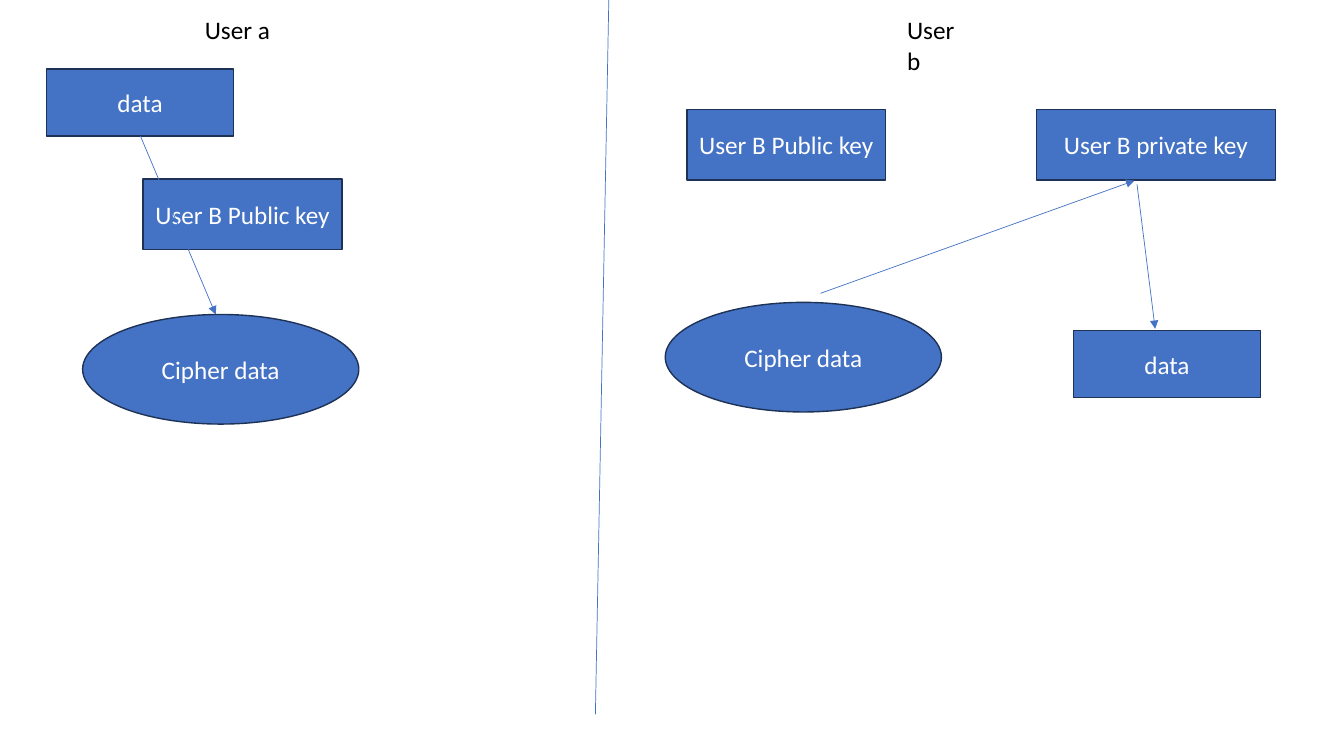
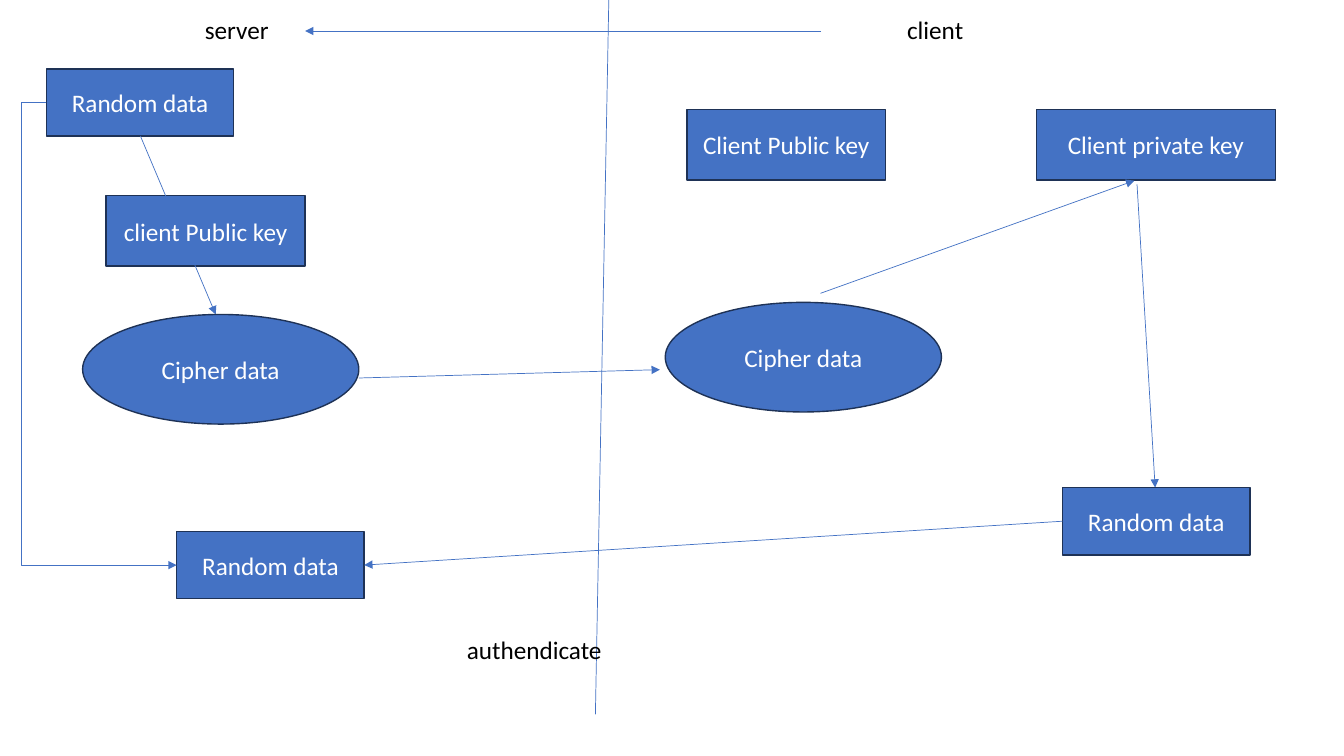
import dataclasses

import lxml.etree
import pptx
import pptx.dml.color
import pptx.enum.shapes
import pptx.enum.text
import pptx.oxml.ns
import pptx.util

BLUE = pptx.dml.color.RGBColor(0x44, 0x72, 0xC4)
NAVY = pptx.dml.color.RGBColor(0x1E, 0x32, 0x56)
BLACK = pptx.dml.color.RGBColor(0x00, 0x00, 0x00)
WHITE = pptx.dml.color.RGBColor(0xFF, 0xFF, 0xFF)
FONT = "Calibri"
SLIDE_W = pptx.util.Inches(13.33)
SLIDE_H = pptx.util.Inches(7.5)

RECT = pptx.enum.shapes.MSO_SHAPE.RECTANGLE
OVAL = pptx.enum.shapes.MSO_SHAPE.OVAL
STRAIGHT = pptx.enum.shapes.MSO_CONNECTOR.STRAIGHT
ELBOW = pptx.enum.shapes.MSO_CONNECTOR.ELBOW
CENTER = pptx.enum.text.PP_ALIGN.CENTER
LEFT_SITE, RIGHT_SITE = 1, 3

# Node sizes in columns and rows of a half-slide panel
DATA = (27.9, 8.9)
KEY = (29.6, 9.3)
PRIVATE_KEY = (35.6, 9.3)
CIPHER = (41.1, 14.5)


@dataclasses.dataclass
class Box:
    """An area of the slide, divided into 100 columns and 100 rows."""
    left: int
    top: int
    width: int
    height: int

    def size(self, cols, rows):
        return int(self.width * cols / 100), int(self.height * rows / 100)

    def point(self, col, row):
        dx, dy = self.size(col, row)
        return self.left + dx, self.top + dy


WHOLE = Box(0, 0, SLIDE_W, SLIDE_H)
LEFT = Box(0, 0, SLIDE_W // 2, SLIDE_H)
RIGHT = Box(SLIDE_W // 2, 0, SLIDE_W // 2, SLIDE_H)


def write(sp, text, color=BLACK, size=18, align=None, wrap=True):
    tf = sp.text_frame
    tf.word_wrap = wrap
    p = tf.paragraphs[0]
    p.alignment = align
    r = p.add_run()
    r.text = text
    r.font.name = FONT
    r.font.size = pptx.util.Pt(size)
    r.font.color.rgb = color


def add_label(slide, box, text, at, cols=12.8, wrap=False):
    sp = slide.shapes.add_textbox(*box.point(*at), *box.size(cols, 5.3))
    write(sp, text, wrap=wrap)


def add_node(slide, box, text, at, size, kind=RECT):
    sp = slide.shapes.add_shape(kind, *box.point(*at), *box.size(*size))
    sp.shadow.inherit = False
    sp.fill.solid()
    sp.fill.fore_color.rgb = BLUE
    sp.line.color.rgb = NAVY
    sp.line.width = pptx.util.Pt(1)
    sp.text_frame.vertical_anchor = pptx.enum.text.MSO_ANCHOR.MIDDLE
    write(sp, text, color=WHITE, align=CENTER)
    return sp


def add_line(slide, begin, end, kind=STRAIGHT, arrow=True):
    cxn = slide.shapes.add_connector(kind, *begin, *end)
    cxn.line.color.rgb = BLUE
    cxn.line.width = pptx.util.Pt(0.5)
    qn = pptx.oxml.ns.qn
    if arrow:
        ln = cxn.line._get_or_add_ln()
        lxml.etree.SubElement(ln, qn("a:tailEnd"), type="triangle")
    lxml.etree.SubElement(cxn._element.spPr, qn("a:effectLst"))
    return cxn


def join(slide, source, source_site, target, target_site, bend=None):
    """Arrow glued to two nodes; bend is the elbow's share of its width."""
    kind = STRAIGHT if bend is None else ELBOW
    cxn = add_line(slide, (0, 0), (1, 1), kind)
    cxn.begin_connect(source, source_site)
    cxn.end_connect(target, target_site)
    if bend is not None:
        qn = pptx.oxml.ns.qn
        guides = cxn._element.spPr.find(qn("a:prstGeom")).get_or_add_avLst()
        lxml.etree.SubElement(guides, qn("a:gd"), name="adj1",
                              fmla=f"val {round(bend * 100000)}")


def sender(slide, box, title, data, key, key_at):
    """Data goes through the public key and becomes cipher data."""
    add_label(slide, box, title, (29, 1.3))
    add_node(slide, box, key, key_at, KEY)
    node = add_node(slide, box, data, (6.9, 9.1), DATA)
    add_line(slide, box.point(20.9, 18), box.point(32.1, 41.6))
    add_node(slide, box, "Cipher data", (12.3, 41.6), CIPHER, OVAL)
    return node


def receiver(slide, box, title, data, owner, data_at, arrow_end):
    """Cipher data goes through the private key and becomes data."""
    add_label(slide, box, title, (33.5, 1.3))
    add_node(slide, box, f"{owner} Public key", (2.2, 14.5), KEY)
    add_node(slide, box, f"{owner} private key", (54.2, 14.5), PRIVATE_KEY)
    add_node(slide, box, "Cipher data", (-1, 40), CIPHER, OVAL)
    add_line(slide, box.point(22.1, 38.8), box.point(68.8, 23.9))
    add_line(slide, box.point(69.2, 24.4), box.point(71.9, arrow_end))
    return add_node(slide, box, data, data_at, DATA)


def authentication(slide, box, sent, returned):
    """Messages between both sides and the server's final comparison."""
    add_line(slide, box.point(61.1, 4.1), box.point(22.7, 4.1))
    add_line(slide, box.point(26.7, 50), box.point(49.1, 48.9))
    check = add_node(slide, LEFT, "Random data", (26.3, 70.3), DATA)
    join(slide, sent, LEFT_SITE, check, LEFT_SITE, bend=-0.19)
    add_label(slide, box, "authendicate", (34, 83.3), cols=27.1, wrap=True)
    join(slide, returned, LEFT_SITE, check, RIGHT_SITE)


def new_slide(prs):
    slide = prs.slides.add_slide(prs.slide_layouts[6])
    # Divider between the two sides
    add_line(slide, WHOLE.point(45.3, 0), WHOLE.point(44.3, 94.5), arrow=False)
    return slide


def main():
    prs = pptx.Presentation()
    prs.slide_width, prs.slide_height = SLIDE_W, SLIDE_H

    # Encryption between two users
    slide = new_slide(prs)
    sender(slide, LEFT, "User a", "data", "User B Public key", (21.3, 23.7))
    receiver(slide, RIGHT, "User b", "data", "User B", (59.7, 43.7), 43.5)

    # Client authentication by a server
    slide = new_slide(prs)
    sent = sender(slide, LEFT, "server", "Random data", "client Public key",
                  (15.8, 25.9))
    returned = receiver(slide, RIGHT, "client", "Random data", "Client",
                        (58.1, 64.5), 64.5)
    authentication(slide, WHOLE, sent, returned)

    prs.save("out.pptx")


if __name__ == "__main__":
    main()
